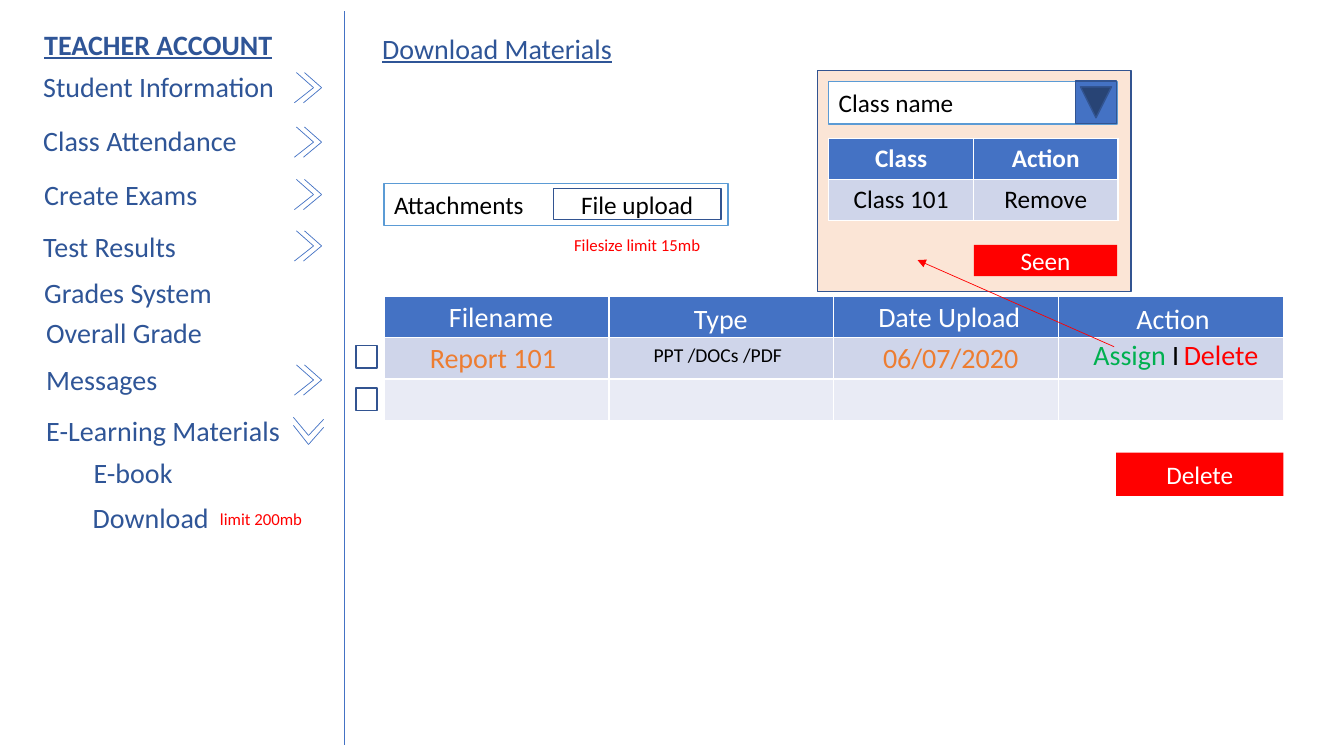
from lxml.etree import SubElement
from pptx import Presentation
from pptx.dml.color import RGBColor
from pptx.enum.shapes import MSO_CONNECTOR, MSO_SHAPE
from pptx.enum.text import MSO_ANCHOR, MSO_AUTO_SIZE, PP_ALIGN
from pptx.oxml.ns import qn
from pptx.util import Inches, Pt

COLORS = {
    "navy": "2F5597", "outline": "325491", "blue": "4472C4", "sky": "5B9BD5",
    "peach": "FBE5D6", "band": "CFD5EA", "pale": "E9EBF5", "orange": "ED7D31",
    "red": "FF0000", "green": "00B050", "white": "FFFFFF", "black": "000000",
}
RGB = {name: RGBColor.from_string(value) for name, value in COLORS.items()}
LEFT, CENTER = PP_ALIGN.LEFT, PP_ALIGN.CENTER
TOP, MIDDLE = MSO_ANCHOR.TOP, MSO_ANCHOR.MIDDLE


def write(tf, runs, size, align=LEFT, anchor=TOP, bold=False, underline=False):
    """Fill a text frame with one paragraph of (text, color) runs."""
    tf.word_wrap = True
    tf.vertical_anchor = anchor
    p = tf.paragraphs[0]
    p.alignment = align
    for text, color in runs:
        r = p.add_run()
        r.text = text
        r.font.name = "Calibri"
        r.font.size = Pt(size)
        r.font.bold = bold
        r.font.underline = underline
        r.font.color.rgb = RGB[color]


def add_line(shapes, x1, y1, x2, y2, color="blue"):
    line = shapes.add_connector(
        MSO_CONNECTOR.STRAIGHT, Inches(x1), Inches(y1), Inches(x2), Inches(y2))
    line.line.color.rgb = RGB[color]
    line.line.width = Pt(0.5)
    SubElement(line._element.spPr, qn("a:effectLst"))
    return line


prs = Presentation()
prs.slide_width = Inches(13.33)
prs.slide_height = Inches(7.5)
s = prs.slides.add_slide(prs.slide_layouts[5])

title = s.shapes.title
title.left, title.top = Inches(3.69), Inches(0.26)
title.width, title.height = Inches(3.96), Inches(0.44)
title.text_frame.auto_size = MSO_AUTO_SIZE.NONE
write(title.text_frame, [("Download Materials", "navy")], 20, underline=True)

# Panels, fields, checkboxes and buttons: place, fill, line, text, size, align
boxes = [
    (8.11, 0.7, 3.11, 2.19, "peach", "outline", None),
    (3.81, 1.82, 3.41, 0.42, "white", "sky", ("Attachments", "black", 18, LEFT)),
    (5.49, 1.87, 1.66, 0.31, "white", "outline", ("File upload", "black", 18, CENTER)),
    (5.49, 2.27, 1.66, 0.31, "white", "white", ("Filesize limit 15mb", "red", 12, CENTER)),
    (3.53, 3.43, 0.21, 0.22, "white", "outline", None),
    (3.53, 3.85, 0.21, 0.22, "white", "outline", None),
    (11.07, 4.49, 1.66, 0.43, "red", None, ("Delete", "white", 18, CENTER)),
    (8.22, 0.81, 2.86, 0.42, "white", "sky", ("Class name", "black", 18, LEFT)),
    (9.66, 2.43, 1.42, 0.31, "red", None, ("Seen", "white", 18, CENTER)),
    (10.66, 0.81, 0.42, 0.41, "blue", "outline", None),
]
for x, y, w, h, fill, outline, label in boxes:
    sp = s.shapes.add_shape(
        MSO_SHAPE.RECTANGLE, Inches(x), Inches(y), Inches(w), Inches(h))
    sp.shadow.inherit = False
    sp.fill.solid()
    sp.fill.fore_color.rgb = RGB[fill]
    if outline:
        sp.line.color.rgb = RGB[outline]
        sp.line.width = Pt(1)
    else:
        sp.line.fill.background()
    if label:
        text, color, size, align = label
        write(sp.text_frame, [(text, color)], size, align, MIDDLE)

# The last box is the drop-down button
sp.auto_shape_type
dropdown = s.shapes.add_shape(
    MSO_SHAPE.ACTION_BUTTON_BACK_OR_PREVIOUS, sp.left, sp.top, sp.width, sp.height)
dropdown.rotation = 270
dropdown.shadow.inherit = False
dropdown.fill.solid()
dropdown.fill.fore_color.rgb = RGB["blue"]
dropdown.line.color.rgb = RGB["outline"]
dropdown.line.width = Pt(1)
sp._element.getparent().remove(sp._element)

# Tables: place, cell texts by row
tables = [
    (3.81, 2.94, 8.92, [[""] * 4] * 3),
    (8.22, 1.37, 2.87, [["Class", "Action"], ["Class 101", "Remove"]]),
]
for x, y, w, rows in tables:
    table = s.shapes.add_table(
        len(rows), len(rows[0]), Inches(x), Inches(y),
        Inches(w), Inches(0.41 * len(rows))).table
    for i, row in enumerate(rows):
        for j, text in enumerate(row):
            cell = table.cell(i, j)
            cell.fill.solid()
            cell.fill.fore_color.rgb = RGB[["blue", "band", "pale"][i]]
            if text:
                color = "black" if i else "white"
                write(cell.text_frame, [(text, color)], 18, CENTER, bold=i == 0)

# Menu entries: place, width, text
menu = [
    (0.33, 0.64, 2.51, "Student Information"),
    (0.33, 1.18, 2.51, "Class Attendance"),
    (0.34, 1.71, 2.51, "Create Exams"),
    (0.33, 2.23, 2.51, "Test Results"),
    (0.34, 2.68, 2.51, "Grades System"),
    (0.36, 3.08, 2.36, "Overall Grade"),
    (0.36, 3.55, 2.51, "Messages"),
    (0.36, 4.05, 2.69, "E-Learning Materials"),
    (0.83, 4.47, 2.36, "E-book"),
    (0.82, 4.92, 2.36, "Download"),
]
# Table entries: place, width, size, runs
entries = [
    (4.27, 2.92, 1.4, 20, [("Filename", "white")]),
    (6.45, 2.94, 1.4, 20, [("Type", "white")]),
    (8.56, 2.92, 1.71, 20, [("Date Upload", "white")]),
    (11.08, 2.94, 1.11, 20, [("Action", "white")]),
    (4.11, 3.33, 1.56, 20, [("Report 101", "orange")]),
    (6.34, 3.35, 1.56, 14, [("PPT /DOCs /PDF", "black")]),
    (8.65, 3.33, 1.56, 20, [("06/07/2020", "orange")]),
    (11.5, 3.3, 1.22, 20, [("Delete", "red")]),
    (10.66, 3.3, 1.22, 20, [("Assign ", "green"), ("I", "black")]),
]
labels = [(x, y, w, 0.44, [(text, "navy")], 20, LEFT, TOP, False)
          for x, y, w, text in menu]
labels += [(x, y, w, 0.34 if size == 14 else 0.44, runs, size, CENTER, TOP, False)
           for x, y, w, size, runs in entries]
labels += [
    (0.34, 0.22, 2.68, 0.44, [("TEACHER ACCOUNT", "navy")], 20, LEFT, TOP, True),
    (1.76, 4.99, 1.66, 0.31, [("limit 200mb", "red")], 12, CENTER, MIDDLE, False),
]
for x, y, w, h, runs, size, align, anchor, heading in labels:
    tb = s.shapes.add_textbox(Inches(x), Inches(y), Inches(w), Inches(h))
    write(tb.text_frame, runs, size, align, anchor, bold=heading, underline=heading)

# Double chevrons, each stroke relative to the chevron's corner
right = [(0.1, 0, 0.27, 0.15), (0.09, 0.3, 0.27, 0.15),
         (0.02, 0, 0.19, 0.15), (0, 0.3, 0.19, 0.15)]
down = [(0.3, 0.1, 0.15, 0.27), (0, 0.08, 0.15, 0.27),
        (0.3, 0.02, 0.15, 0.18), (0, 0, 0.15, 0.18)]
chevrons = [(2.92, y, right) for y in (0.72, 1.26, 1.78, 2.29, 3.62)]
chevrons.append((2.91, 4.14, down))
for x, y, strokes in chevrons:
    group = s.shapes.add_group_shape()
    for x1, y1, x2, y2 in strokes:
        add_line(group.shapes, x + x1, y + y1, x + x2, y + y2)

add_line(s.shapes, 3.42, 0.11, 3.42, 7.39)
arrow = add_line(s.shapes, 11.05, 3.44, 9.1, 2.58, "red")
SubElement(arrow._element.spPr.find(qn("a:ln")), qn("a:tailEnd"), type="triangle")

prs.save("out.pptx")
